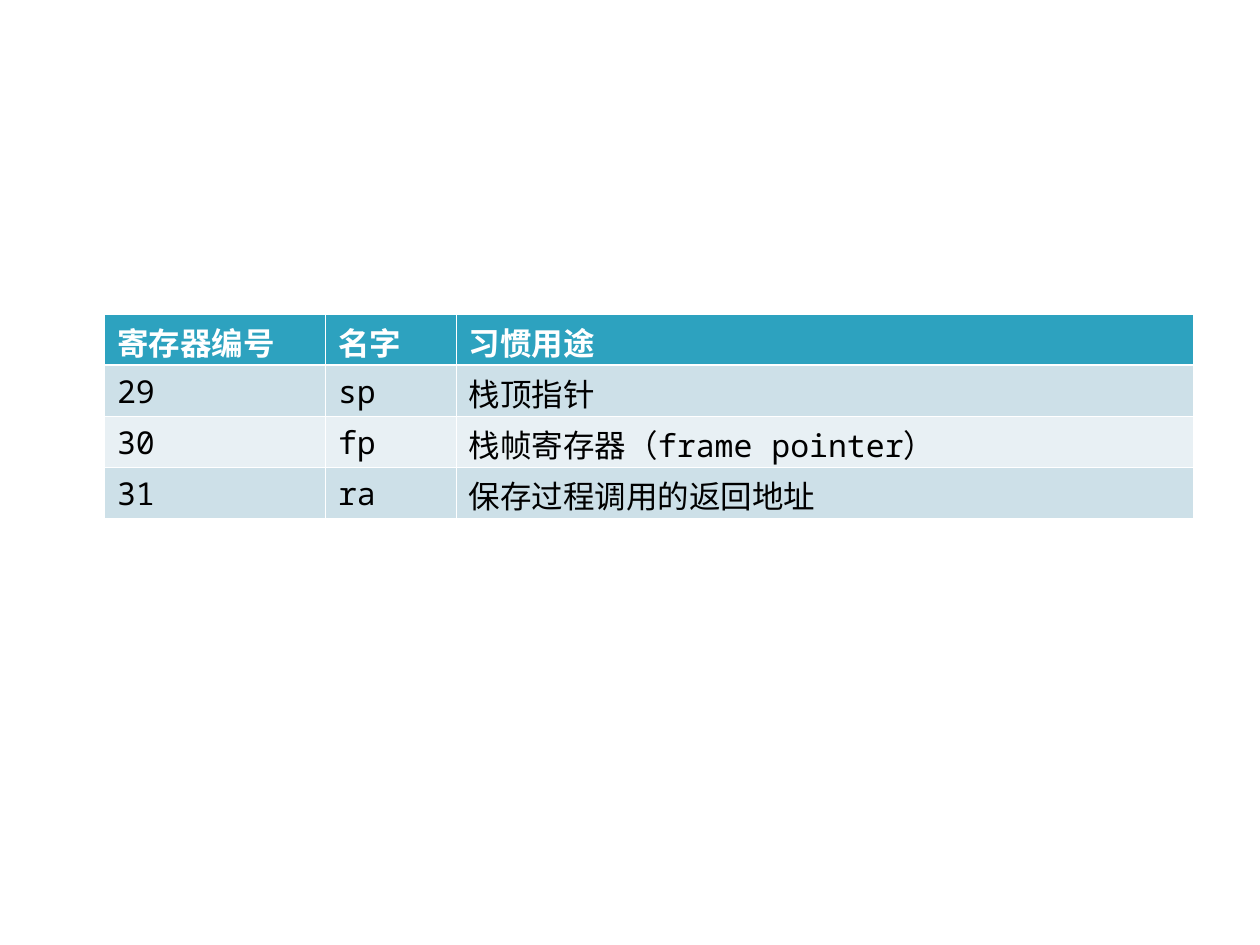
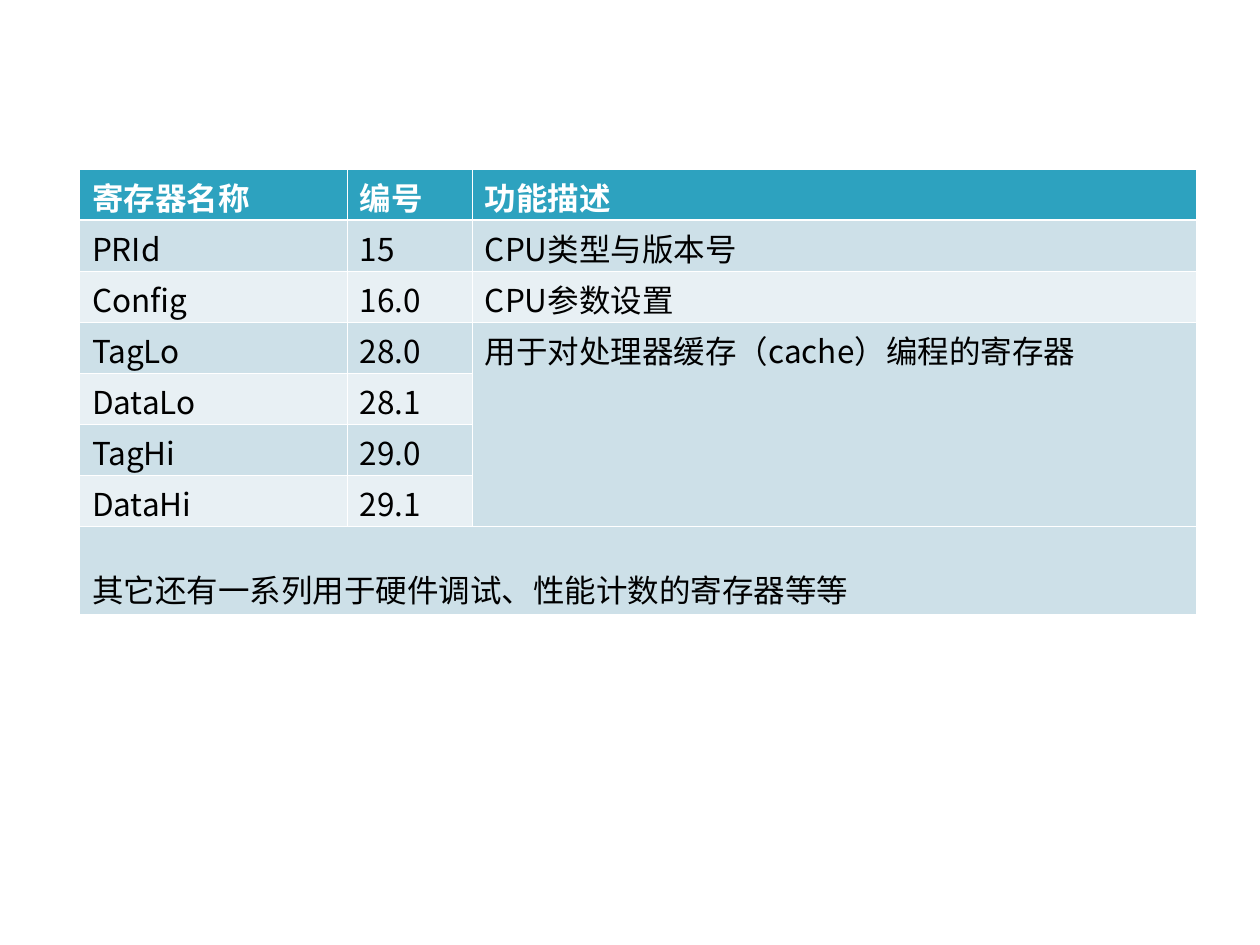
from lxml import etree
from pptx import Presentation
from pptx.dml.color import RGBColor
from pptx.enum.text import MSO_ANCHOR
from pptx.oxml.ns import qn
from pptx.util import Emu, Pt

TOP, BOTTOM = MSO_ANCHOR.TOP, MSO_ANCHOR.BOTTOM
PX = 914400 / 126
ROW = 51
SANS, MONO = "Noto Sans CJK SC", "Noto Sans Mono"
HEX = {"head": "2DA2BF", "dark": "CDE0E8", "light": "E8F0F4",
       "white": "FFFFFF", "black": "000000"}

USES = [
    ["寄存器编号", "名字", "习惯用途"],
    ["29", "sp", "栈顶指针"],
    ["30", "fp", "栈帧寄存器（frame pointer）"],
    ["31", "ra", "保存过程调用的返回地址"],
]
CONTROL = [
    ["寄存器名称", "编号", "功能描述"],
    ["PRId", "15", "CPU类型与版本号"],
    ["Config", "16.0", "CPU参数设置"],
    ["TagLo", "28.0", "用于对处理器缓存（cache）编程的寄存器"],
    ["DataLo", "28.1", ""],
    ["TagHi", "29.0", ""],
    ["DataHi", "29.1", ""],
    ["其它还有一系列用于硬件调试、性能计数的寄存器等等", "", ""],
]


def px(count):
    """Turn px into EMU."""
    return Emu(round(count * PX))


def color(name):
    """Look up a named colour."""
    return RGBColor.from_string(HEX[name])


def add_edge(cell, side, width):
    """Draw one white border of a cell."""
    props = cell._tc.get_or_add_tcPr()
    line = etree.SubElement(props, qn("a:ln" + side), w=str(Pt(width)))
    fill = etree.SubElement(line, qn("a:solidFill"))
    etree.SubElement(fill, qn("a:srgbClr"), val=HEX["white"])


def style_text(cell, face, ink, bold):
    """Set the font of all runs in a cell."""
    for para in cell.text_frame.paragraphs:
        for run in para.runs:
            font = run.font
            font.name, font.size, font.bold = face, Pt(18), bold
            font.color.rgb = color(ink)
            east = etree.Element(qn("a:ea"), typeface=SANS)
            font._rPr.find(qn("a:latin")).addnext(east)


def style_cell(cell, row, face):
    """Give a cell its borders, fill, margins and font."""
    head = row == 0
    for side in "LRTB":
        thick = (row, side) in ((0, "B"), (1, "T"))
        add_edge(cell, side, 1.47 if thick else 0.45)
    cell.fill.solid()
    band = "head" if head else "dark" if row % 2 else "light"
    cell.fill.fore_color.rgb = color(band)
    cell.margin_left = cell.margin_right = px(13)
    cell.margin_top, cell.margin_bottom = px(5), 0
    cell.vertical_anchor = TOP
    style_text(cell, MONO if head else face, "white" if head else "black", head)


def add_grid(slide, left, top, cols, data, face):
    """Add a banded table and return it."""
    frame = slide.shapes.add_table(len(data), len(cols), px(left), px(top),
                                   px(sum(cols)), px(ROW * len(data)))
    table = frame.table
    for col, width in zip(table.columns, cols):
        col.width = px(width)
    for r, texts in enumerate(data):
        table.rows[r].height = px(ROW)
        for c, text in enumerate(texts):
            cell = table.cell(r, c)
            cell.text_frame.text = text
            style_cell(cell, r, face)
    return table


def main():
    """Build both register slides."""
    deck = Presentation()
    deck.slide_width, deck.slide_height = px(1260), px(945)
    blank = deck.slide_layouts[6]

    add_grid(deck.slides.add_slide(blank), 104, 314, [221, 131, 737], USES, MONO)

    table = add_grid(deck.slides.add_slide(blank), 79, 169, [268, 125, 724],
                     CONTROL, SANS)
    table.cell(3, 2).merge(table.cell(6, 2))
    last = len(CONTROL) - 1
    note = table.cell(last, 0)
    note.merge(table.cell(last, 2))
    note.vertical_anchor = BOTTOM
    note.margin_bottom = px(2)
    table.rows[last].height = px(88)

    deck.save("out.pptx")


if __name__ == "__main__":
    main()
